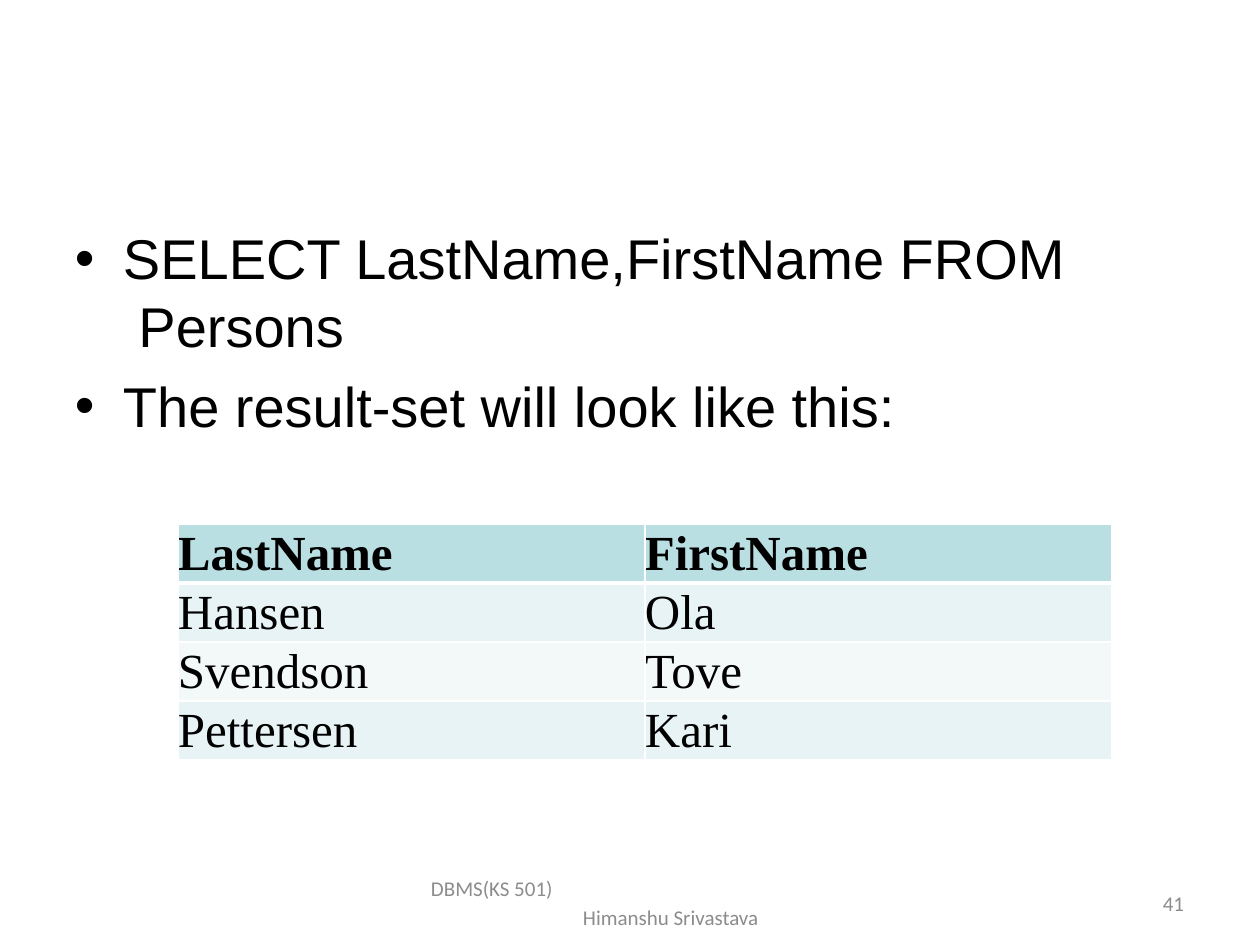
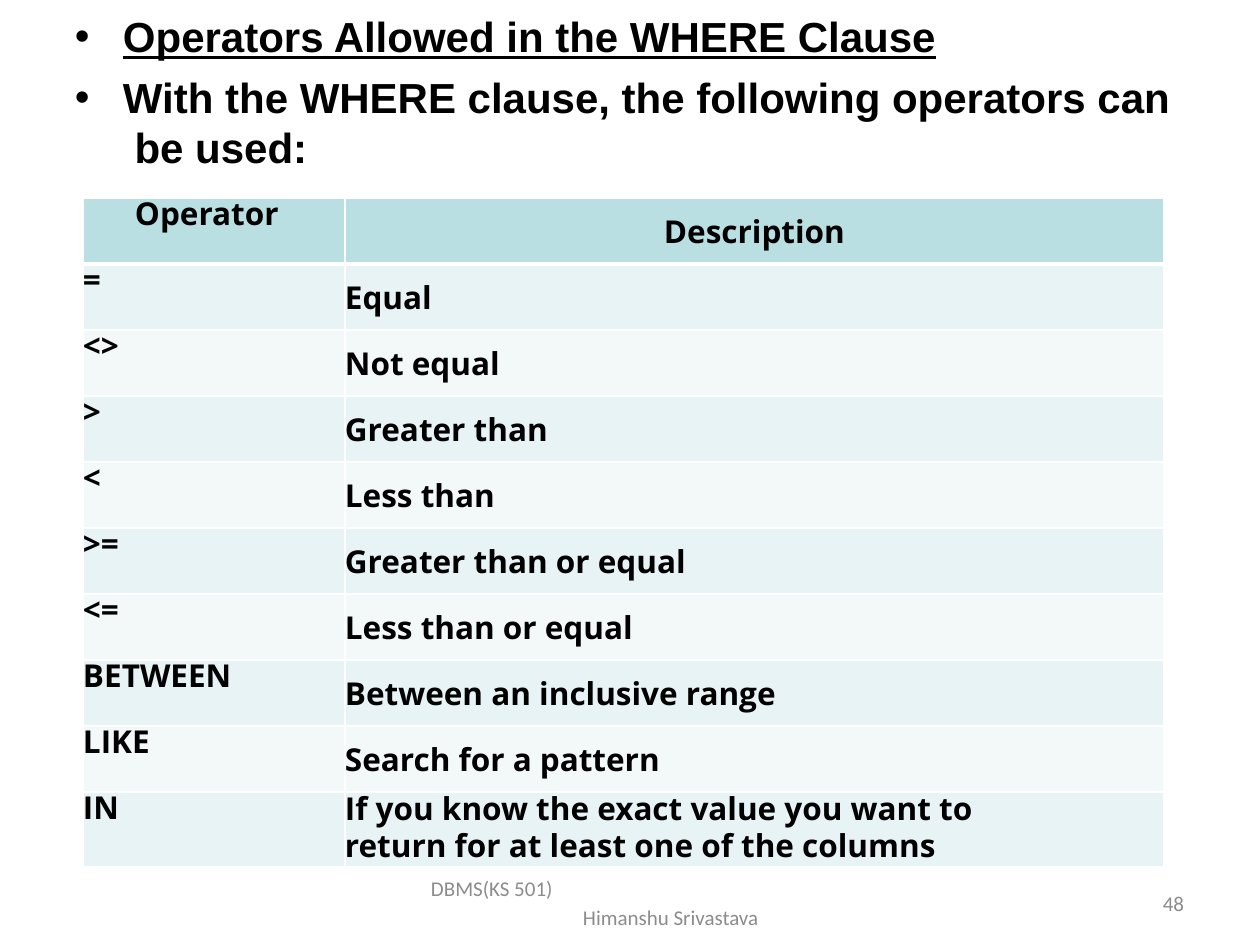
import pptx
import pptx.dml.color
import pptx.enum.text
import pptx.oxml.ns
import pptx.util
import lxml.etree

RGBColor = pptx.dml.color.RGBColor
Pt = pptx.util.Pt
ALIGN = pptx.enum.text.PP_ALIGN
ANCHOR = pptx.enum.text.MSO_ANCHOR
qn = pptx.oxml.ns.qn

BLACK = RGBColor(0x00, 0x00, 0x00)
WHITE = RGBColor(0xFF, 0xFF, 0xFF)
GREY = RGBColor(0x8C, 0x8C, 0x8C)
HEADER = RGBColor(0xBA, 0xDF, 0xE2)
BANDS = [RGBColor(0xE7, 0xF3, 0xF4), RGBColor(0xF3, 0xF8, 0xF9)]

PX_PER_INCH = 126

PERSONS = [
    ("LastName", "FirstName"),
    ("Hansen", "Ola"),
    ("Svendson", "Tove"),
    ("Pettersen", "Kari"),
]
OPERATORS = [
    ("Operator", "Description"),
    ("=", "Equal"),
    ("<>", "Not equal"),
    (">", "Greater than"),
    ("<", "Less than"),
    (">=", "Greater than or equal"),
    ("<=", "Less than or equal"),
    ("BETWEEN", "Between an inclusive range"),
    ("LIKE", "Search for a pattern"),
    ("IN", "If you know the exact value you want to\vreturn for at least one of the columns"),
]


def px(n):
    return pptx.util.Emu(round(n * 914400 / PX_PER_INCH))


def format_runs(p, font, size, color=BLACK, bold=False, underline=False):
    for r in p.runs:
        r.font.name = font
        r.font.size = Pt(size)
        r.font.color.rgb = color
        r.font.bold = bold
        r.font.underline = underline


def indent(p, left, first=0):
    pPr = p._p.get_or_add_pPr()
    pPr.set("marL", str(px(left)))
    pPr.set("indent", str(px(first)))
    return pPr


def add_text(slide, x, y, w, h, lines, top=0, anchor=ANCHOR.TOP):
    """Text box without side margins, one paragraph for each line."""
    tf = slide.shapes.add_textbox(px(x), px(y), px(w), px(h)).text_frame
    tf.word_wrap = True
    tf.margin_left = tf.margin_right = tf.margin_bottom = 0
    tf.margin_top = px(top)
    tf.vertical_anchor = anchor
    tf.text = "\n".join(lines)
    return tf.paragraphs


def add_bullets(slide, y, w, h, top, lines, before, size, bold=False):
    paragraphs = add_text(slide, 74, y, w, h, lines, top)
    for p, space in zip(paragraphs, before):
        pPr = indent(p, 49, -48)
        p.space_before = Pt(space)
        lxml.etree.SubElement(pPr, qn("a:buFont"), typeface="Arial")
        lxml.etree.SubElement(pPr, qn("a:buChar"), char="•")
        format_runs(p, "Arial", size, bold=bold)
    return paragraphs


def add_footer(slide, number):
    course, author = add_text(slide, 431, 876, 399, 50,
                              ["DBMS(KS 501)", "Himanshu Srivastava"], anchor=ANCHOR.MIDDLE)
    indent(author, 152)
    page = add_text(slide, 903, 876, 281, 50, [str(number)], anchor=ANCHOR.MIDDLE)[0]
    page.alignment = ALIGN.RIGHT
    for p in (course, author, page):
        p.line_spacing = Pt(16.5)
        format_runs(p, "Calibri", 12, GREY)


def set_borders(cell, **widths):
    """White cell borders; widths in points, keyed by side L, R, T, B."""
    tcPr = cell._tc.get_or_add_tcPr()
    for i, side in enumerate("LRTB"):
        ln = lxml.etree.Element(qn("a:ln" + side), w=str(Pt(widths.get(side, 1))))
        fill = lxml.etree.SubElement(ln, qn("a:solidFill"))
        lxml.etree.SubElement(fill, qn("a:srgbClr"), val=str(WHITE))
        tcPr.insert(i, ln)


def add_grid(slide, x, y, col_widths, row_heights, rows):
    """Banded table with a header row and no cell margins."""
    frame = slide.shapes.add_table(len(rows), len(col_widths), px(x), px(y),
                                   px(sum(col_widths)), px(sum(row_heights)))
    table = frame.table
    table.first_row = table.horz_banding = False
    for col, w in zip(table.columns, col_widths):
        col.width = px(w)
    for i, (row, h, texts) in enumerate(zip(table.rows, row_heights, rows)):
        row.height = px(h)
        for cell, text in zip(row.cells, texts):
            cell.margin_left = cell.margin_right = cell.margin_top = cell.margin_bottom = 0
            cell.text_frame.text = text
            cell.fill.solid()
            cell.fill.fore_color.rgb = BANDS[(i - 1) % 2] if i else HEADER
            set_borders(cell, T=3 if i == 1 else 1, B=3 if i == 0 else 1)
    return table


def add_persons(slide):
    table = add_grid(slide, 178, 524, [467, 467], [59] * len(PERSONS), PERSONS)
    for i, row in enumerate(table.rows):
        for cell in row.cells:
            p = cell.text_frame.paragraphs[0]
            p.line_spacing = Pt(32.6)
            format_runs(p, "Times New Roman", 28, bold=i == 0)


def add_operators(slide):
    heights = [66] * (len(OPERATORS) - 1) + [75]
    table = add_grid(slide, 83, 198, [262, 819], heights, OPERATORS)
    last = len(OPERATORS) - 1
    for i, row in enumerate(table.rows):
        name, description = [cell.text_frame.paragraphs[0] for cell in row.cells]
        name.line_spacing = Pt(21.1)
        if i == last:
            description.line_spacing = Pt(21.2)
            description.space_before = Pt(1)
            row.cells[1].margin_top = px(1)
        else:
            description.space_before = Pt(7.5)
            row.cells[1].margin_top = px(12)
        if i == 0:
            indent(name, 52)
            description.alignment = ALIGN.CENTER
        for p in (name, description):
            format_runs(p, "Open Sans", 18, bold=True)


def main():
    prs = pptx.Presentation()
    prs.slide_width, prs.slide_height = px(1260), px(945)
    blank = prs.slide_layouts[6]

    # Selecting columns
    slide = prs.slides.add_slide(blank)
    add_bullets(slide, 223, 1010, 219, 1,
                ["SELECT LastName,FirstName FROM\v Persons",
                 "The result-set will look like this:"], [1.1, 7.7], 32)
    add_persons(slide)
    add_footer(slide, 41)

    # Operators of the WHERE clause
    slide = prs.slides.add_slide(blank)
    heading = add_bullets(slide, 0, 1120, 175, 11,
                          ["Operators Allowed in the WHERE Clause",
                           "With the WHERE clause, the following operators can\v be used:"],
                          [6.8, 5.8], 24, bold=True)[0]
    format_runs(heading, "Arial", 24, bold=True, underline=True)
    add_operators(slide)
    add_footer(slide, 48)

    prs.save("out.pptx")


if __name__ == "__main__":
    main()
